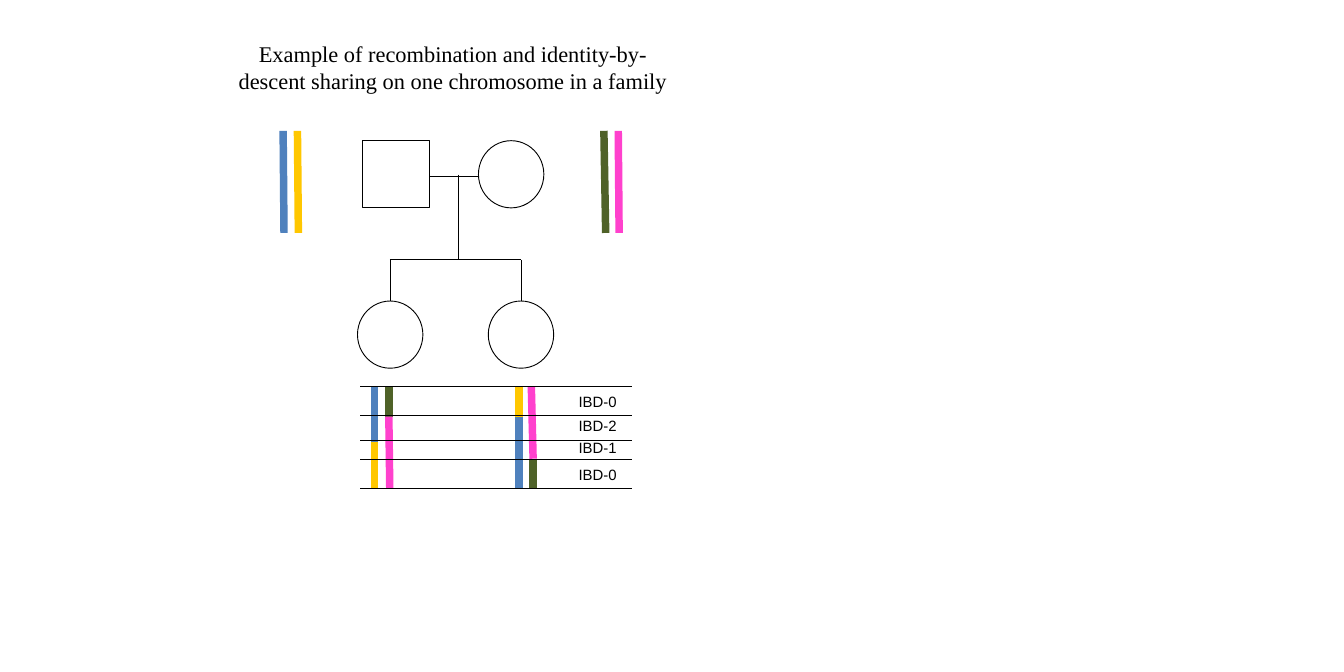
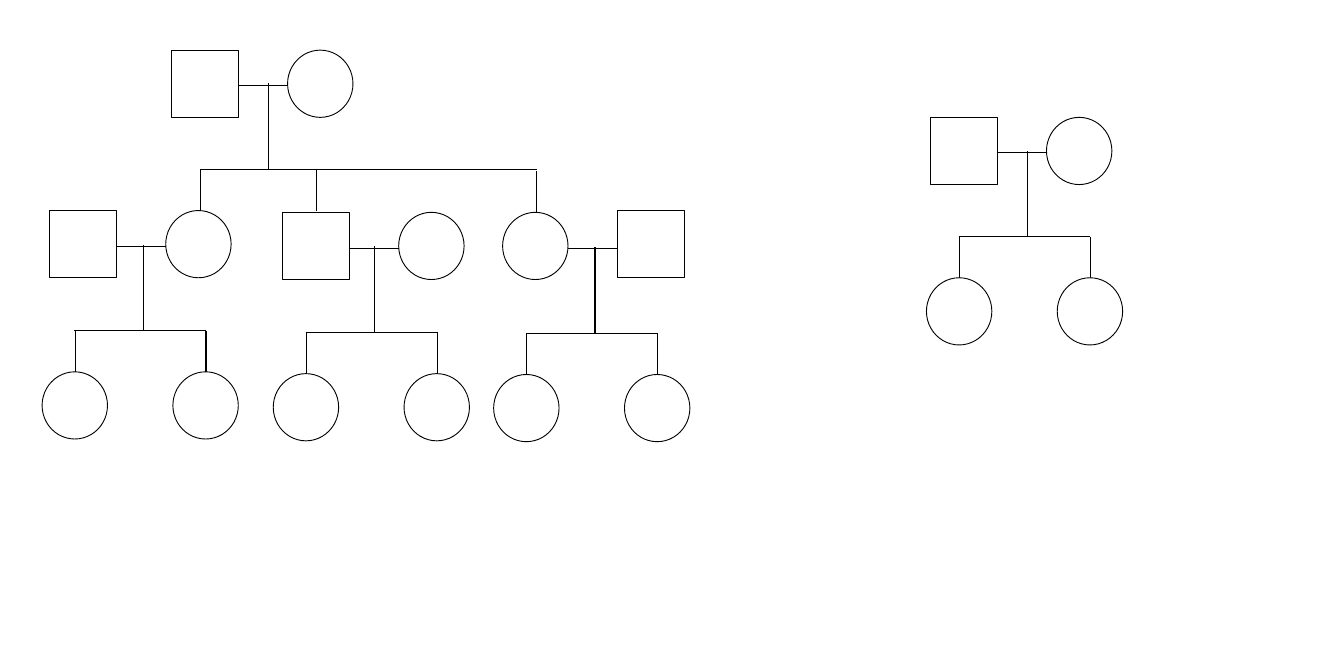
from dataclasses import dataclass

from lxml.etree import SubElement
from pptx import Presentation
from pptx.dml.color import RGBColor
from pptx.enum.shapes import MSO_CONNECTOR, MSO_SHAPE
from pptx.enum.text import MSO_AUTO_SIZE, PP_ALIGN
from pptx.oxml.ns import qn
from pptx.slide import Slide
from pptx.util import Emu, Pt

PX = 9144
COLORS = {
    "ink": "000000",
    "paper": "FFFFFF",
    "blue": "4F81BD",
    "yellow": "FFC700",
    "green": "4F6228",
    "pink": "FF41CD",
}
MALE, FEMALE = MSO_SHAPE.RECTANGLE, MSO_SHAPE.OVAL
PERSON_WIDTHS = {MALE: 75, FEMALE: 73}
PERSON_HEIGHT = 75
DROP_HEIGHT = 46
MARRIAGE_WIDTH = 55


@dataclass(frozen=True)
class Line:
    x1: int
    y1: int
    x2: int
    y2: int
    color: str = "ink"
    weight: float = 1


@dataclass(frozen=True)
class Label:
    text: str
    left: int
    top: int
    width: int
    height: int
    font: str
    size: int
    align: PP_ALIGN = PP_ALIGN.LEFT


@dataclass(frozen=True)
class Partner:
    kind: MSO_SHAPE
    top: int


@dataclass(frozen=True)
class Couple:
    stem_x: int
    stem_top: int
    bar_y: int
    marriage_left: int
    marriage_y: int
    first: Partner
    second: Partner


@dataclass(frozen=True)
class Segment:
    color: str
    x1: int
    top: int
    x2: int
    bottom: int


def rgb(name: str) -> RGBColor:
    return RGBColor.from_string(COLORS[name])


def px(length: int) -> Emu:
    return Emu(length * PX)


def draw_line(page: Slide, line: Line) -> None:
    connector = page.shapes.add_connector(
        MSO_CONNECTOR.STRAIGHT, px(line.x1), px(line.y1), px(line.x2), px(line.y2)
    )
    connector.line.color.rgb = rgb(line.color)
    connector.line.width = Pt(line.weight)
    SubElement(connector._element.spPr, qn("a:effectLst"))


def draw_person(page: Slide, kind: MSO_SHAPE, left: int, top: int) -> None:
    person = page.shapes.add_shape(
        kind, px(left), px(top), px(PERSON_WIDTHS[kind]), px(PERSON_HEIGHT)
    )
    person.shadow.inherit = False
    person.fill.solid()
    person.fill.fore_color.rgb = rgb("paper")
    person.line.color.rgb = rgb("ink")
    person.line.width = Pt(0.75)


def draw_label(page: Slide, label: Label) -> None:
    box = page.shapes.add_textbox(
        px(label.left), px(label.top), px(label.width), px(label.height)
    )
    frame = box.text_frame
    frame.word_wrap = True
    frame.auto_size = MSO_AUTO_SIZE.SHAPE_TO_FIT_TEXT
    para = frame.paragraphs[0]
    para.alignment = label.align
    span = para.add_run()
    span.text = label.text
    span.font.name = label.font
    span.font.size = Pt(label.size)
    span.font.color.rgb = rgb("ink")


def draw_couple(page: Slide, couple: Couple) -> None:
    first, second = couple.first, couple.second
    left = couple.marriage_left
    right = left + MARRIAGE_WIDTH
    draw_person(page, first.kind, left - PERSON_WIDTHS[first.kind], first.top)
    draw_person(page, second.kind, right, second.top)
    draw_line(page, Line(left, couple.marriage_y, right, couple.marriage_y))
    draw_line(page, Line(couple.stem_x, couple.stem_top, couple.stem_x, couple.bar_y))


def draw_family(page: Slide, couple: Couple) -> None:
    draw_couple(page, couple)
    left, right = couple.stem_x - 76, couple.stem_x + 70
    child_top = couple.bar_y + DROP_HEIGHT
    draw_line(page, Line(left - 1, couple.bar_y, right, couple.bar_y))
    for x in (left, right):
        draw_line(page, Line(x, couple.bar_y, x, child_top))
        draw_person(page, FEMALE, x - 37, child_top)


def build_sharing(page: Slide) -> None:
    parents = Couple(512, 195, 290, 479, 197, Partner(MALE, 157), Partner(FEMALE, 157))
    draw_family(page, parents)
    segments = [
        Segment("blue", 316, 146, 317, 260),
        Segment("yellow", 332, 146, 333, 260),
        Segment("green", 674, 146, 676, 260),
        Segment("pink", 690, 146, 691, 260),
        Segment("blue", 418, 431, 418, 493),
        Segment("yellow", 418, 493, 418, 545),
        Segment("green", 434, 431, 434, 465),
        Segment("pink", 434, 465, 435, 545),
        Segment("blue", 579, 465, 579, 545),
        Segment("yellow", 579, 431, 579, 465),
        Segment("green", 595, 512, 595, 545),
        Segment("pink", 593, 431, 595, 512),
    ]
    for part in segments:
        draw_line(page, Line(part.x1, part.top, part.x2, part.bottom, part.color, 6))
    for y in (463, 491, 512, 431, 545):
        draw_line(page, Line(402, y, 705, y, weight=0.25))
    for text, top in (("IBD-0", 433), ("IBD-2", 460), ("IBD-1", 485), ("IBD-0", 515)):
        draw_label(page, Label(text, 636, top, 70, 30, "Arial", 12))
    title = "Example of recombination and identity-by-descent sharing on one chromosome in a family"
    draw_label(
        page, Label(title, 254, 40, 503, 100, "Times New Roman", 18, PP_ALIGN.CENTER)
    )


def build_pedigrees(page: Slide) -> None:
    draw_family(
        page,
        Couple(1147, 169, 264, 1113, 170, Partner(MALE, 131), Partner(FEMALE, 131)),
    )
    grandparents = Couple(
        300, 93, 189, 266, 95, Partner(MALE, 56), Partner(FEMALE, 56)
    )
    draw_couple(page, grandparents)
    bar_y = grandparents.bar_y
    draw_line(page, Line(223, bar_y, 599, bar_y))
    for x, top in ((224, bar_y), (353, bar_y), (599, bar_y + 2)):
        draw_line(page, Line(x, top, x, top + DROP_HEIGHT))
    for couple in (
        Couple(160, 273, 369, 130, 275, Partner(MALE, 235), Partner(FEMALE, 235)),
        Couple(418, 275, 371, 390, 277, Partner(MALE, 237), Partner(FEMALE, 237)),
        Couple(664, 276, 372, 634, 277, Partner(FEMALE, 237), Partner(MALE, 235)),
    ):
        draw_family(page, couple)


def main() -> None:
    deck = Presentation()
    deck.slide_width = px(1500)
    deck.slide_height = px(750)
    for build in (build_sharing, build_pedigrees):
        build(deck.slides.add_slide(deck.slide_layouts[6]))
    deck.save("out.pptx")


if __name__ == "__main__":
    main()
